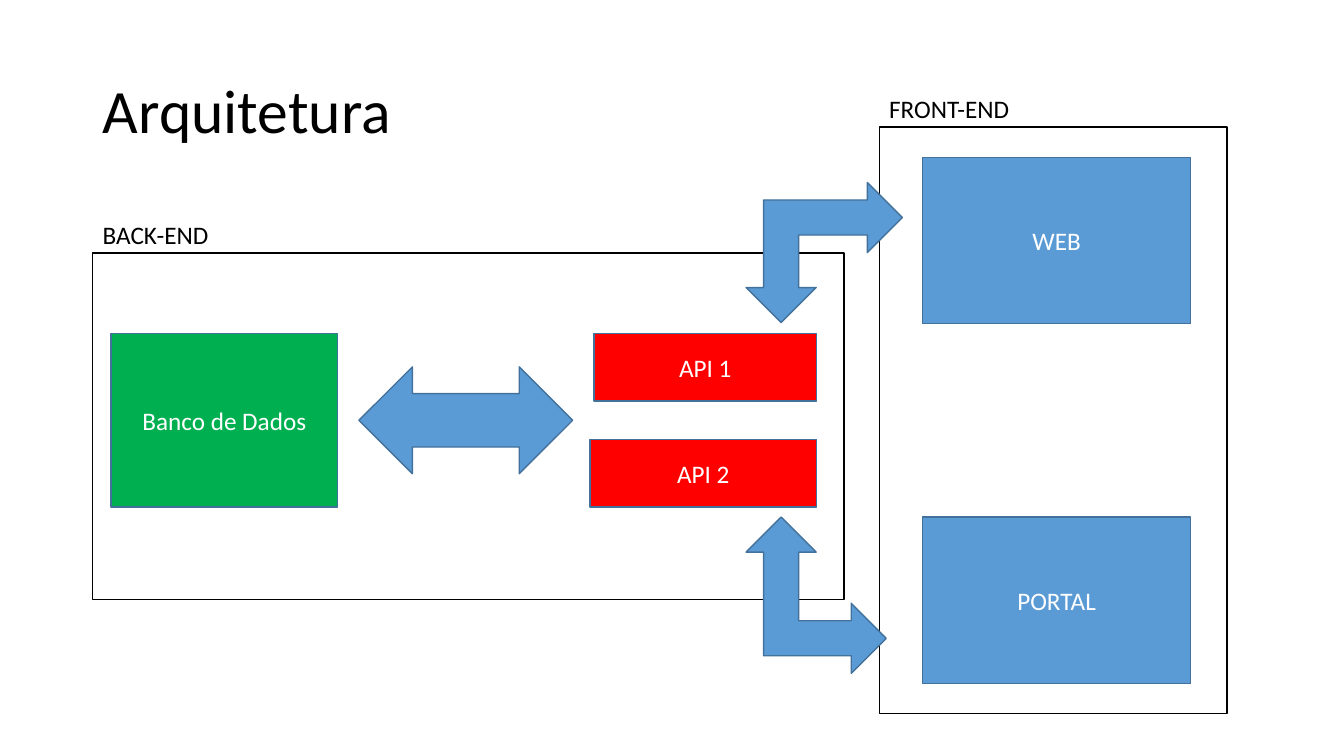
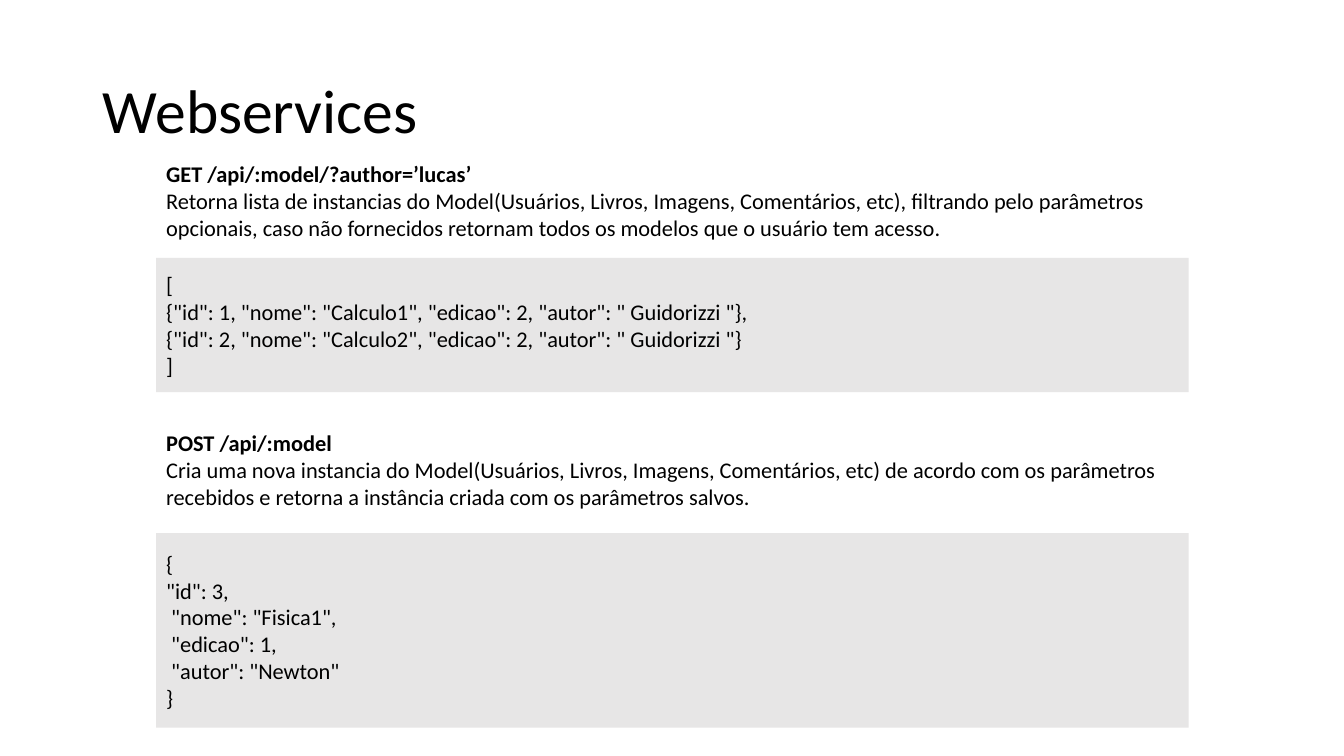
from pptx import Presentation
from pptx.dml.color import RGBColor
from pptx.enum.shapes import MSO_SHAPE
from pptx.enum.text import MSO_ANCHOR, MSO_AUTO_SIZE, PP_ALIGN
from pptx.util import Pt

PX = 9144  # EMU in one px, 100 px to the inch
BLACK, WHITE, GRAY = "000000", "FFFFFF", "E7E6E6"
BLUE, DARK_BLUE, GREEN, RED = "5B9BD5", "42719B", "00B050", "FF0000"


def write_text(shape, text, size=18, color=BLACK, align=PP_ALIGN.LEFT,
               anchor=MSO_ANCHOR.TOP, line_spacing=None, bold_first=False):
    """Fill a shape with text, one paragraph per line."""
    frame = shape.text_frame
    frame.text = text
    frame.word_wrap = True
    frame.auto_size = MSO_AUTO_SIZE.NONE
    frame.vertical_anchor = anchor
    for index, paragraph in enumerate(frame.paragraphs):
        paragraph.alignment = align
        paragraph.line_spacing = line_spacing
        font = paragraph.runs[0].font
        font.name = "Calibri"
        font.size = Pt(size)
        font.bold = bold_first and index == 0
        font.color.rgb = RGBColor.from_string(color)


def add_block(slide, kind, box, fill, line=None):
    """Add a flat preset shape; box is left, top, width, height in px."""
    shape = slide.shapes.add_shape(kind, *(length * PX for length in box))
    shape.shadow.inherit = False
    shape.fill.solid()
    shape.fill.fore_color.rgb = RGBColor.from_string(fill)
    if line:
        shape.line.color.rgb = RGBColor.from_string(line)
        shape.line.width = Pt(1)
    else:
        shape.line.fill.background()
    return shape


presentation = Presentation()
presentation.slide_width = 1333 * PX
presentation.slide_height = 750 * PX
title_only = presentation.slide_layouts[5]

slides = []
for title_text in ("Arquitetura", "Webservices"):
    slide = presentation.slides.add_slide(title_only)
    title = slide.shapes.title
    title.left, title.top, title.width, title.height = (
        length * PX for length in (92, 40, 1150, 145))
    write_text(title, title_text, size=44, anchor=MSO_ANCHOR.MIDDLE, line_spacing=0.9)
    slides.append(slide)
architecture, webservices = slides

# Architecture: labelled frames, components and the arrows between them
LABEL_HEIGHT = 38
for label, left, top, width, height in (
    ("FRONT-END", 872, 126, 345, 582),
    ("BACK-END", 92, 251, 745, 344),
):
    add_block(architecture, MSO_SHAPE.RECTANGLE, (left, top, width, height), WHITE, BLACK)
    label_box = architecture.shapes.add_textbox(
        left * PX, (top - LABEL_HEIGHT) * PX, 315 * PX, LABEL_HEIGHT * PX)
    write_text(label_box, label)

for name, box, fill in (
    ("Banco de Dados", (110, 331, 225, 172), GREEN),
    ("API 1", (589, 331, 221, 67), RED),
    ("API 2", (585, 436, 225, 67), RED),
    ("WEB", (915, 156, 266, 165), BLUE),
    ("PORTAL", (915, 513, 266, 165), BLUE),
):
    component = add_block(architecture, MSO_SHAPE.RECTANGLE, box, fill, DARK_BLUE)
    write_text(component, name, color=WHITE, align=PP_ALIGN.CENTER,
               anchor=MSO_ANCHOR.MIDDLE)

add_block(architecture, MSO_SHAPE.LEFT_RIGHT_ARROW, (356, 364, 212, 106), BLUE, DARK_BLUE)
for left, top, rotation in ((748, 173, 90), (740, 513, 0)):
    arrow = add_block(architecture, MSO_SHAPE.LEFT_UP_ARROW,
                      (left, top, 139, 155), BLUE, DARK_BLUE)
    arrow.rotation = rotation
    arrow.element.spPr.xfrm.set("flipH", "1")

# Webservices: each request above its sample response
LEFT, WIDTH = 155, 1024
GET_TEXT = """GET /api/:model/?author=’lucas’
Retorna lista de instancias do Model(Usuários, Livros, Imagens, Comentários, etc), \
filtrando pelo parâmetros opcionais, caso não fornecidos retornam todos os modelos \
que o usuário tem acesso."""
GET_RESPONSE = """[
{"id": 1, "nome": "Calculo1", "edicao": 2, "autor": " Guidorizzi "},
{"id": 2, "nome": "Calculo2", "edicao": 2, "autor": " Guidorizzi "}
]"""
POST_TEXT = """POST /api/:model
Cria uma nova instancia do Model(Usuários, Livros, Imagens, Comentários, etc) \
de acordo com os parâmetros recebidos e retorna a instância criada com os \
parâmetros salvos."""
POST_RESPONSE = """{
"id": 3,
 "nome": "Fisica1",
 "edicao": 1,
 "autor": "Newton"
}"""

for request, request_top, response, response_top, response_height in (
    (GET_TEXT, 154, GET_RESPONSE, 256, 133),
    (POST_TEXT, 421, POST_RESPONSE, 529, 193),
):
    request_box = webservices.shapes.add_textbox(
        LEFT * PX, request_top * PX, WIDTH * PX, 118 * PX)
    write_text(request_box, request, size=16, bold_first=True)
    response_box = add_block(webservices, MSO_SHAPE.RECTANGLE,
                             (LEFT, response_top, WIDTH, response_height), GRAY)
    write_text(response_box, response, size=16, anchor=MSO_ANCHOR.MIDDLE)

presentation.save("out.pptx")
